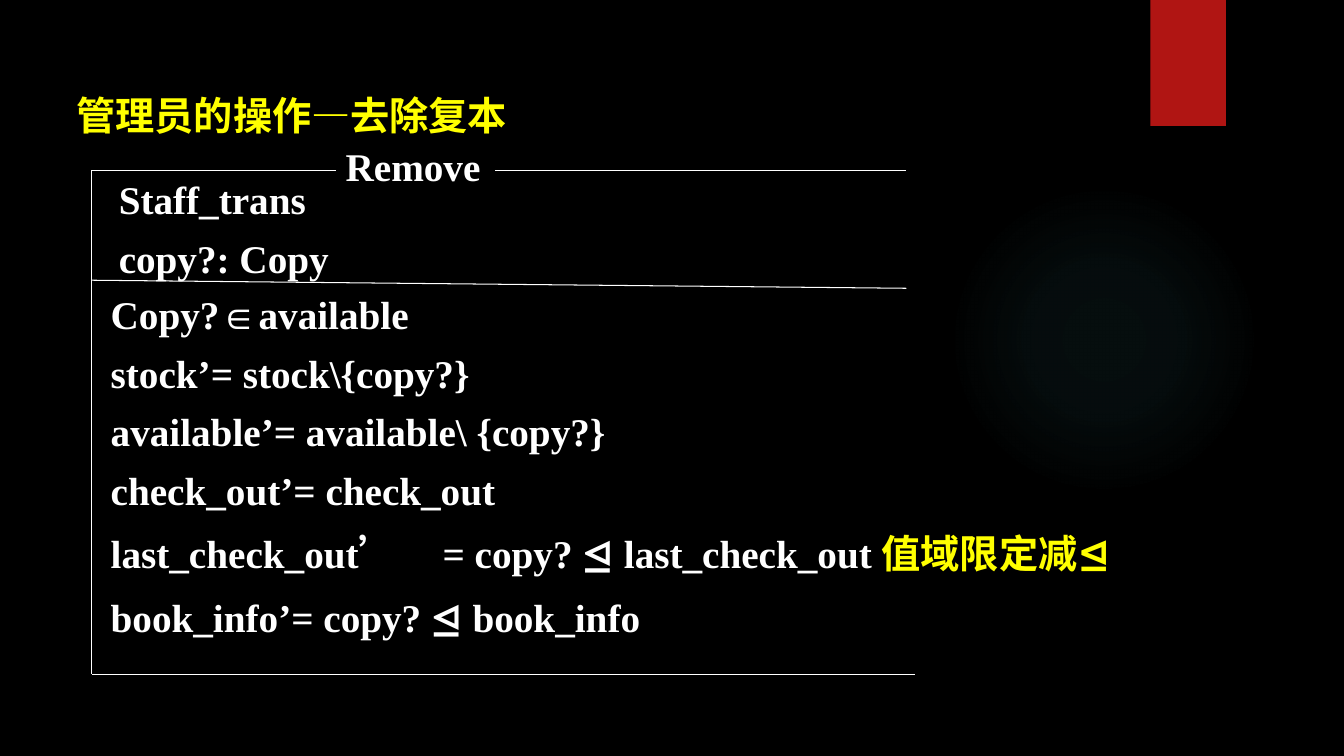
import lxml.etree
import pptx
import pptx.dml.color
import pptx.enum.shapes
import pptx.enum.text
import pptx.oxml
import pptx.oxml.ns
import pptx.util

Inches = pptx.util.Inches
Pt = pptx.util.Pt
qn = pptx.oxml.ns.qn
SHAPES = pptx.enum.shapes.MSO_SHAPE

COLORS = {
    "background": "000000",
    "text": "FFFFFF",
    "accent": "FFFF00",
    "ribbon": "B01513",
    "glow": "50B9C1",
}


def rgb(name):
    return pptx.dml.color.RGBColor.from_string(COLORS[name])


class SchemaSlide:
    serif = "Times New Roman"
    size = 28
    gap = 15

    def __init__(self, slide):
        self.slide = slide
        slide.background.fill.solid()
        slide.background.fill.fore_color.rgb = rgb("background")

    def shape(self, kind, left, top, width, height, color):
        item = self.slide.shapes.add_shape(
            kind, Inches(left), Inches(top), Inches(width), Inches(height))
        item.shadow.inherit = False
        item.line.fill.background()
        item.fill.solid()
        item.fill.fore_color.rgb = rgb(color)
        return item

    def glow(self, left, top, diameter, stops):
        """Draw a circle fading outwards; stops are (position %, opacity %)."""
        circle = self.shape(SHAPES.OVAL, left, top, diameter, diameter, "glow")
        stop_xml = "".join(
            f'<a:gs pos="{position * 1000}"><a:srgbClr val="{COLORS["glow"]}">'
            f'<a:alpha val="{opacity * 1000}"/></a:srgbClr></a:gs>'
            for position, opacity in stops)
        gradient = pptx.oxml.parse_xml(
            f'<a:gradFill {pptx.oxml.ns.nsdecls("a")}><a:gsLst>{stop_xml}</a:gsLst>'
            '<a:path path="circle"><a:fillToRect l="50000" t="50000" '
            'r="50000" b="50000"/></a:path></a:gradFill>')
        properties = circle._element.spPr
        properties.replace(properties.find(qn("a:solidFill")), gradient)

    def rule(self, x1, y1, x2, y2):
        line = self.slide.shapes.add_connector(
            pptx.enum.shapes.MSO_CONNECTOR.STRAIGHT,
            Inches(x1), Inches(y1), Inches(x2), Inches(y2))
        line.line.color.rgb = rgb("text")
        line.line.width = Pt(0.75)
        lxml.etree.SubElement(line._element.spPr, qn("a:effectLst"))

    def text(self, left, top, width, height, lines, font=serif, color="text", spacing=1.0):
        """Write lines, each a list of (text, run overrides) pairs or a plain string."""
        box = self.slide.shapes.add_textbox(
            Inches(left), Inches(top), Inches(width), Inches(height))
        frame = box.text_frame
        frame.word_wrap = True
        frame.auto_size = pptx.enum.text.MSO_AUTO_SIZE.SHAPE_TO_FIT_TEXT
        for index, line in enumerate(lines):
            paragraph = frame.paragraphs[0] if index == 0 else frame.add_paragraph()
            paragraph.line_spacing = spacing
            paragraph.space_before = Pt(self.gap if index else 0)
            paragraph.font.name = font
            paragraph.font.size = Pt(self.size)
            paragraph.font.bold = True
            paragraph.font.color.rgb = rgb(color)
            for words, style in [(line, {})] if isinstance(line, str) else line:
                run = paragraph.add_run()
                run.text = words
                if "size" in style:
                    run.font.size = Pt(style["size"])
                if "color" in style:
                    run.font.color.rgb = rgb(style["color"])
                if "tracking" in style:
                    run.font._element.set("spc", str(style["tracking"] * 100))


def main():
    deck = pptx.Presentation()
    deck.slide_width, deck.slide_height = Inches(13.33), Inches(7.5)
    page = SchemaSlide(deck.slides.add_slide(deck.slide_layouts[6]))

    page.glow(9.41, 1.83, 3.08, [(0, 7), (36, 6), (69, 0), (100, 0)])
    page.shape(SHAPES.RECTANGLE, 11.41, 0, 0.75, 1.25, "ribbon")
    page.text(0.66, 0.86, 5.17, 0.57, ["管理员的操作—去除复本"],
              font="Quicksand", color="accent")

    left, right, top, bottom = 0.91, 8.99, 1.69, 6.69
    page.rule(left, top, 3.33, top)
    page.rule(4.91, top, right, top)
    page.rule(left, top, left, bottom)
    page.rule(left, 2.78, right, 2.86)
    page.rule(left, bottom, 9.08, bottom)

    page.text(3.33, 1.36, 1.99, 0.57, ["Remove"])
    page.text(1.08, 1.78, 8.67, 1.08, ["Staff_trans", "copy?: Copy"], spacing=0.8)

    subtraction = ("⊴ ", {"size": 32})
    page.text(1, 2.92, 10.73, 3.72, [
        "Copy?∈available",
        "stock’= stock\\{copy?}",
        "available’= available\\ {copy?}",
        "check_out’= check_out",
        [("last_check_out", {}), ("’", {"tracking": 32}), ("= copy? ", {}), subtraction,
         ("last_check_out ", {}), ("值域限定减⊴", {"color": "accent"})],
        [("book_info’= copy? ", {}), subtraction, ("book_info", {})],
    ], spacing=0.8)

    deck.save("out.pptx")


if __name__ == "__main__":
    main()
